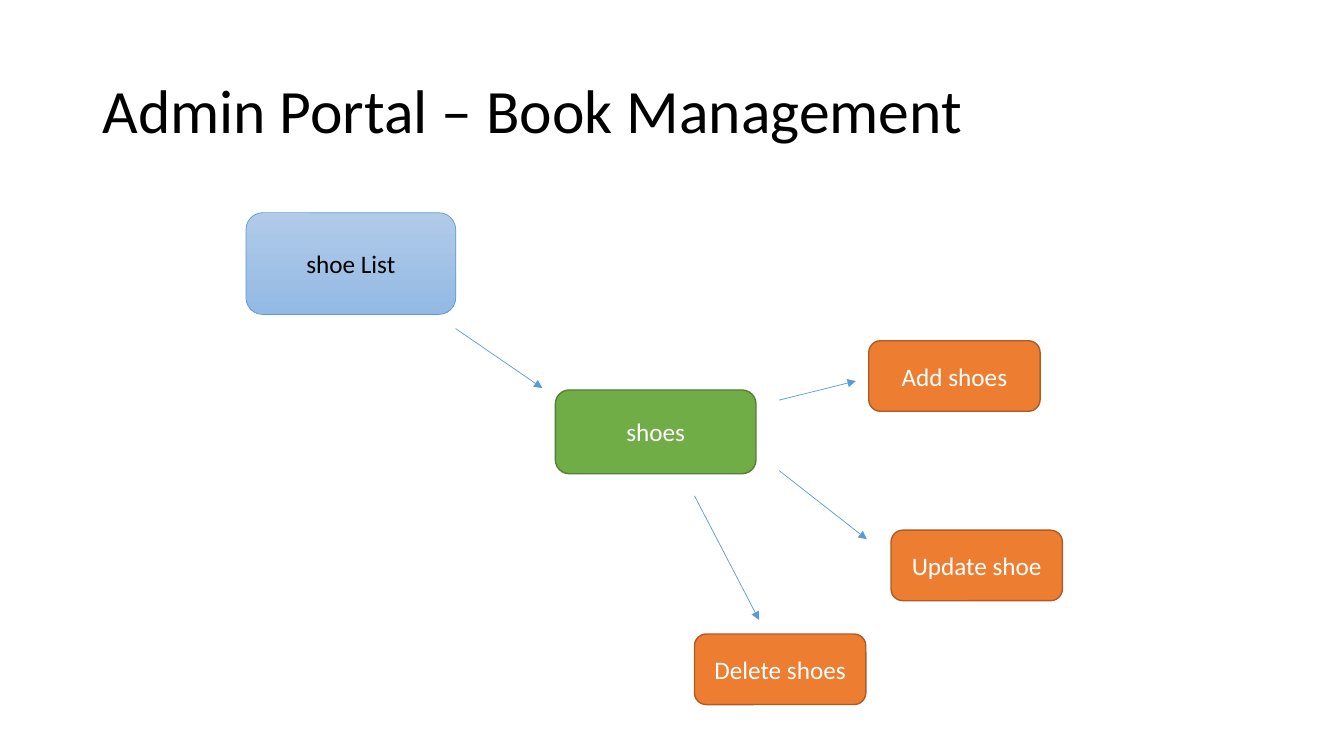
from dataclasses import dataclass

from lxml.etree import SubElement
from pptx import Presentation
from pptx.dml.color import RGBColor
from pptx.enum.shapes import MSO_CONNECTOR, MSO_SHAPE
from pptx.enum.text import MSO_ANCHOR, MSO_AUTO_SIZE, PP_ALIGN
from pptx.oxml.ns import qn
from pptx.util import Pt


@dataclass(frozen=True)
class Theme:
    font: str = "Calibri"
    title_size: int = 44
    label_size: int = 18
    black: str = "000000"
    white: str = "FFFFFF"
    blue: str = "5B9BD5"
    blue_top: str = "B1CBE9"
    blue_bottom: str = "93B9E4"
    green: str = "70AD47"
    green_edge: str = "538035"
    orange: str = "ED7D31"
    orange_edge: str = "AF5C24"


class FlowSlide:
    def __init__(self, page, theme):
        self.page = page
        self.theme = theme

    def add_text(self, frame, text, size, color, align):
        frame.word_wrap = True
        frame.auto_size = MSO_AUTO_SIZE.NONE
        frame.vertical_anchor = MSO_ANCHOR.MIDDLE
        para = frame.paragraphs[0]
        para.alignment = align
        span = para.add_run()
        span.text = text
        span.font.name = self.theme.font
        span.font.size = Pt(size)
        span.font.color.rgb = RGBColor.from_string(color)
        return para

    def title(self, text, left, top, width, height):
        box = self.page.shapes.title
        box.left, box.top, box.width, box.height = map(Pt, (left, top, width, height))
        para = self.add_text(box.text_frame, text, self.theme.title_size,
                             self.theme.black, PP_ALIGN.LEFT)
        para.line_spacing = 0.9

    def node(self, text, bounds, fills, edge, edge_width, color):
        box = self.page.shapes.add_shape(MSO_SHAPE.ROUNDED_RECTANGLE, *map(Pt, bounds))
        box.shadow.inherit = False
        if len(fills) == 1:
            box.fill.solid()
            box.fill.fore_color.rgb = RGBColor.from_string(fills[0])
        else:
            box.fill.gradient()
            box.fill.gradient_angle = 270
            for stop, fill in zip(box.fill.gradient_stops, fills):
                stop.color.rgb = RGBColor.from_string(fill)
        box.line.color.rgb = RGBColor.from_string(edge)
        box.line.width = Pt(edge_width)
        self.add_text(box.text_frame, text, self.theme.label_size, color, PP_ALIGN.CENTER)

    def arrow(self, start, end):
        arrow = self.page.shapes.add_connector(
            MSO_CONNECTOR.STRAIGHT, *map(Pt, (*start, *end)))
        arrow.line.color.rgb = RGBColor.from_string(self.theme.blue)
        arrow.line.width = Pt(0.5)
        properties = arrow._element.spPr
        SubElement(properties.find(qn("a:ln")), qn("a:tailEnd"), type="triangle")
        SubElement(properties, qn("a:effectLst"))


def main():
    deck = Presentation()
    deck.slide_width, deck.slide_height = Pt(960), Pt(540)
    theme = Theme()
    slide = FlowSlide(deck.slides.add_slide(deck.slide_layouts[5]), theme)

    slide.title("Admin Portal – Book Management", 66, 28.8, 828, 104.4)
    slide.node("shoe List", (175.7, 151.9, 149.8, 72.7),
               (theme.blue_top, theme.blue_bottom), theme.blue, 0.5, theme.black)
    slide.node("shoes", (396.7, 278.6, 143.3, 59.8),
               (theme.green,), theme.green_edge, 1, theme.white)
    slide.arrow((325.4, 234.7), (387.4, 277.2))

    actions = [
        ("Delete shoes", (496.1, 452.9), (496.1, 354.2), (542.2, 442.8)),
        ("Update shoe", (636.5, 378.7), (556.6, 336.2), (619.2, 385.2)),
        ("Add shoes", (620.6, 243.4), (556.6, 285.8), (611.3, 272.2)),
    ]
    for text, corner, start, end in actions:
        slide.node(text, (*corner, 122.4, 50.4),
                   (theme.orange,), theme.orange_edge, 1, theme.white)
        slide.arrow(start, end)

    deck.save("out.pptx")


if __name__ == "__main__":
    main()
